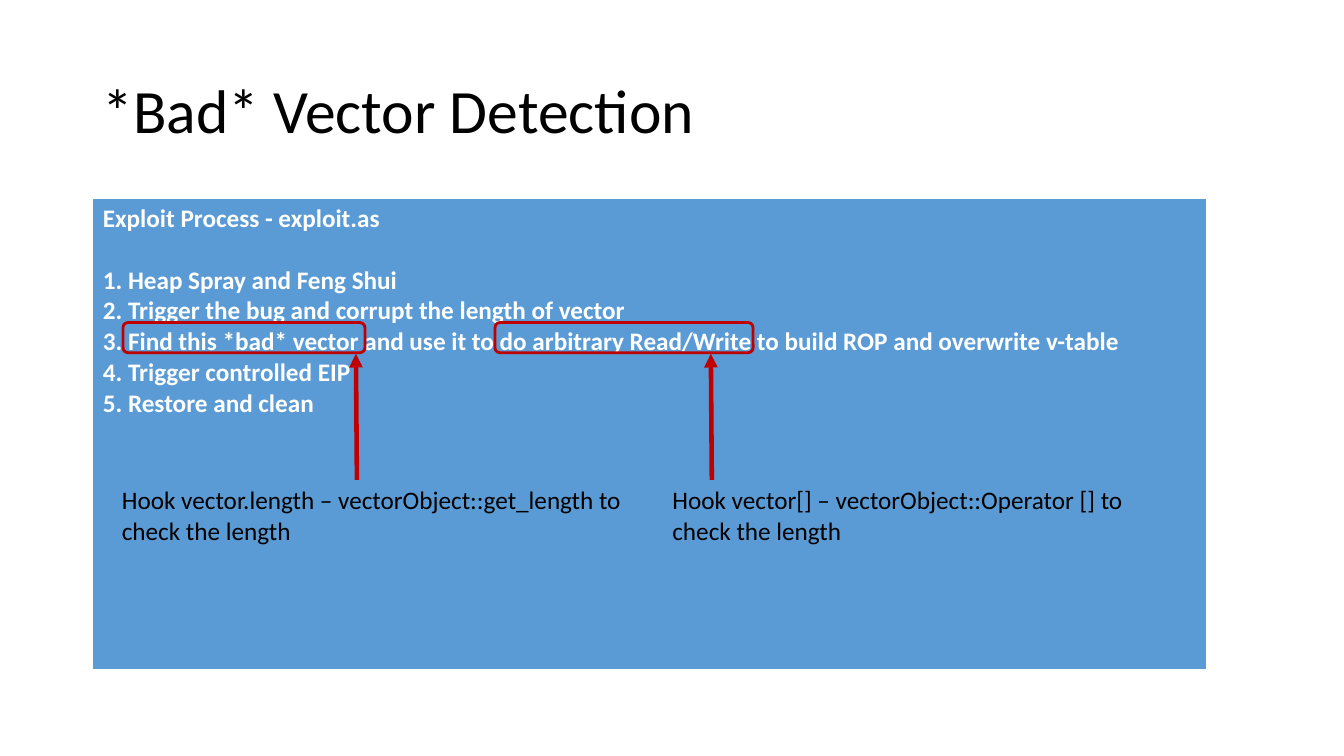
"""Build the vector detection slide with its annotated exploit steps."""
from dataclasses import dataclass

from lxml.etree import SubElement
from pptx import Presentation
from pptx.dml.color import RGBColor as Color
from pptx.enum.shapes import MSO_CONNECTOR as Connector, MSO_SHAPE as Shape
from pptx.enum.text import MSO_ANCHOR as Anchor, PP_ALIGN as Align
from pptx.oxml.ns import qn
from pptx.util import Inches, Pt


@dataclass(frozen=True)
class Theme:
    font: str = "Calibri"
    title_size: int = 44
    body_size: int = 18
    black: str = "000000"
    white: str = "FFFFFF"
    blue: str = "5B9BD5"
    red: str = "C00000"
    frame_width: float = 2
    arrow_width: float = 3.25


class SlideBuilder:
    def __init__(self, slide, theme):
        self.slide = slide
        self.theme = theme

    def add_text(self, paragraph, text, size, color, bold=False):
        paragraph.alignment = Align.LEFT
        run = paragraph.add_run()
        run.text = text
        run.font.name = self.theme.font
        run.font.size = Pt(size)
        run.font.bold = bold
        run.font.color.rgb = Color.from_string(color)

    def title(self, text, left, top, width, height):
        shape = self.slide.shapes.title
        shape.left, shape.top = Inches(left), Inches(top)
        shape.width, shape.height = Inches(width), Inches(height)
        frame = shape.text_frame
        frame.vertical_anchor = Anchor.MIDDLE
        paragraph = frame.paragraphs[0]
        paragraph.line_spacing = 0.9
        self.add_text(paragraph, text, self.theme.title_size, self.theme.black)

    def border(self, cell, side, width):
        line = SubElement(cell._tc.get_or_add_tcPr(), qn(f"a:ln{side}"), w=str(Pt(width)))
        fill = SubElement(line, qn("a:solidFill"))
        SubElement(fill, qn("a:srgbClr"), val=self.theme.white)

    def panel(self, heading, steps, left, top, width, height):
        table = self.slide.shapes.add_table(
            1, 1, Inches(left), Inches(top), Inches(width), Inches(height)
        ).table
        table.first_row = table.horz_banding = False
        cell = table.cell(0, 0)
        for side, line_width in {"L": 1, "R": 1, "T": 1, "B": 3}.items():
            self.border(cell, side, line_width)
        cell.fill.solid()
        cell.fill.fore_color.rgb = Color.from_string(self.theme.blue)
        frame = cell.text_frame
        size, color = self.theme.body_size, self.theme.white
        self.add_text(frame.paragraphs[0], heading, size, color, bold=True)
        frame.paragraphs[0].space_after = Pt(22)
        for number, step in enumerate(steps, start=1):
            self.add_text(frame.add_paragraph(), f"{number}. {step}", size, color, bold=True)

    def note(self, text, left, top, width, height):
        box = self.slide.shapes.add_textbox(
            Inches(left), Inches(top), Inches(width), Inches(height)
        )
        box.text_frame.word_wrap = True
        paragraph = box.text_frame.paragraphs[0]
        self.add_text(paragraph, text, self.theme.body_size, self.theme.black)

    def highlight(self, left, top, width, height):
        shape = self.slide.shapes.add_shape(
            Shape.ROUNDED_RECTANGLE, Inches(left), Inches(top), Inches(width), Inches(height)
        )
        shape.shadow.inherit = False
        shape.fill.background()
        shape.line.color.rgb = Color.from_string(self.theme.red)
        shape.line.width = Pt(self.theme.frame_width)

    def arrow(self, start_x, start_y, end_x, end_y):
        connector = self.slide.shapes.add_connector(
            Connector.STRAIGHT, Inches(start_x), Inches(start_y), Inches(end_x), Inches(end_y)
        )
        connector.line.color.rgb = Color.from_string(self.theme.red)
        connector.line.width = Pt(self.theme.arrow_width)
        properties = connector._element.spPr
        SubElement(properties.find(qn("a:ln")), qn("a:tailEnd"), type="triangle")
        SubElement(properties, qn("a:effectLst"))


def main():
    presentation = Presentation()
    presentation.slide_width = Inches(13.33)
    presentation.slide_height = Inches(7.5)
    slide = presentation.slides.add_slide(presentation.slide_layouts[5])
    builder = SlideBuilder(slide, Theme())

    builder.title("*Bad* Vector Detection", 0.92, 0.4, 11.5, 1.45)
    steps = [
        "Heap Spray and Feng Shui",
        "Trigger the bug and corrupt the length of vector",
        "Find this *bad* vector and use it to do arbitrary Read/Write"
        " to build ROP and overwrite v-table",
        "Trigger controlled EIP",
        "Restore and clean",
    ]
    builder.panel("Exploit Process - exploit.as", steps, 0.92, 1.97, 11.05, 4.69)

    note_top = 4.76
    hooks = [
        ("Hook vector.length – vectorObject::get_length to check the length", 1.11, 5.28),
        ("Hook vector[] – vectorObject::Operator [] to check the length", 6.57, 5.11),
    ]
    for text, left, width in hooks:
        builder.note(text, left, note_top, width, 0.71)
    for left, width in [(1.22, 2.4), (4.91, 2.56)]:
        builder.highlight(left, 3.2, width, 0.3)
    for start_x in (7.06, 3.54):
        builder.arrow(start_x, note_top, start_x - 0.01, 3.51)

    presentation.save("out.pptx")


if __name__ == "__main__":
    main()
